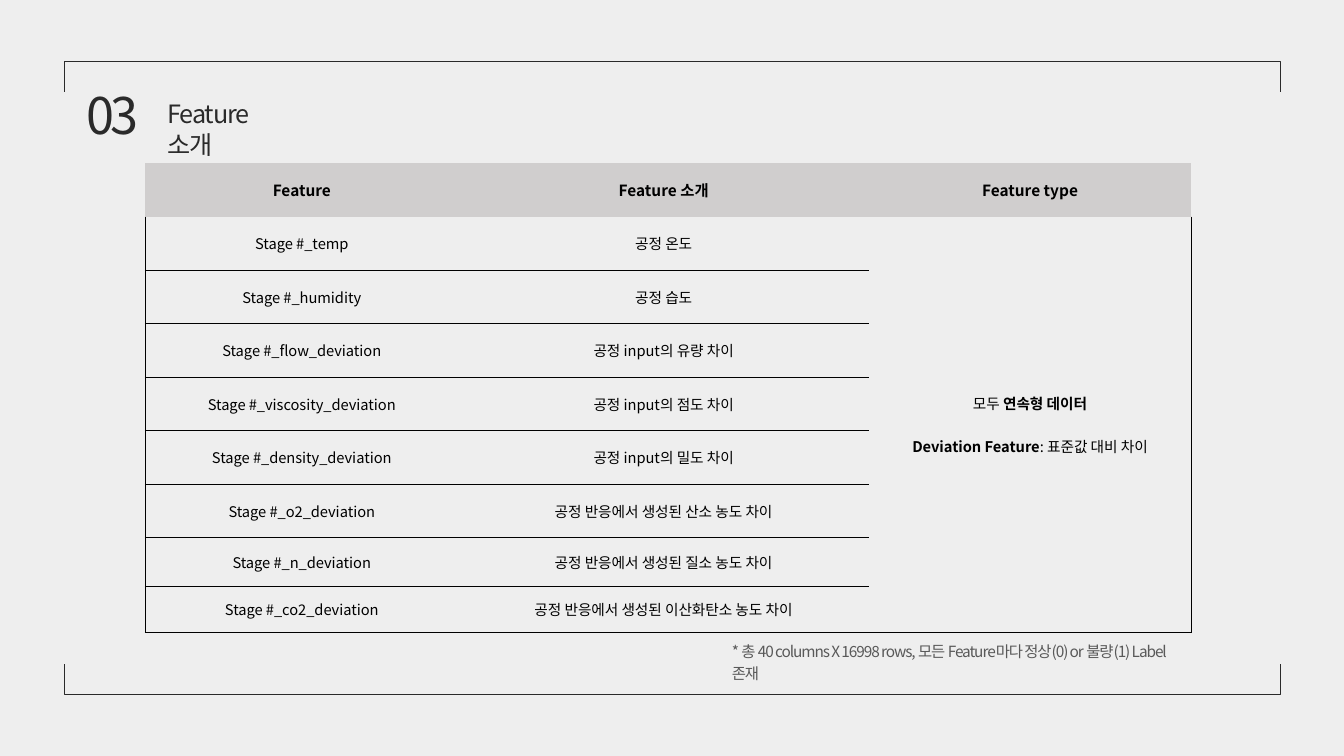
from lxml.etree import SubElement
from pptx import Presentation
from pptx.dml.color import RGBColor
from pptx.enum.shapes import MSO_SHAPE
from pptx.enum.text import MSO_ANCHOR, MSO_AUTO_SIZE, PP_ALIGN
from pptx.oxml.ns import qn
from pptx.util import Pt

FONT = "Noto Sans CJK KR"
INK = "2A2A2A"
BLACK = "000000"
NO_GRID_STYLE = "{2D5ABB26-0587-4C30-8999-92F81FD0307C}"

COLUMN_WIDTHS = [223.9, 293, 230.4]
ROW_HEIGHTS = [38.2] * 7 + [34.6, 33.1]
HEADERS = ["Feature", "Feature 소개", "Feature type"]
FEATURES = [
    ("Stage #_temp", "공정 온도"),
    ("Stage #_humidity", "공정 습도"),
    ("Stage #_flow_deviation", "공정 input의 유량 차이"),
    ("Stage #_viscosity_deviation", "공정 input의 점도 차이"),
    ("Stage #_density_deviation", "공정 input의 밀도 차이"),
    ("Stage #_o2_deviation", "공정 반응에서 생성된 산소 농도 차이"),
    ("Stage #_n_deviation", "공정 반응에서 생성된 질소 농도 차이"),
    ("Stage #_co2_deviation", "공정 반응에서 생성된 이산화탄소 농도 차이"),
]
TYPE_NOTES = [
    [("모두 ", False), ("연속형 데이터", True)],
    [("Deviation Feature", True), (": 표준값 대비 차이", False)],
]


def color(value):
    return RGBColor.from_string(value)


def style_span(span, size, tint, bold=False, spacing=0):
    """Format a run; spacing is the tracking in points."""
    span.font.size = Pt(size)
    span.font.bold = bold
    span.font.color.rgb = color(tint)
    span.font.name = FONT
    properties = span._r.get_or_add_rPr()
    SubElement(properties, qn("a:ea")).set("typeface", FONT)
    if spacing:
        properties.set("spc", str(round(spacing * 100)))


def add_frame_edge(page, left, top, width, height, rotation):
    """Draw a square bracket turned to fill the given wide box."""
    edge = page.shapes.add_shape(
        MSO_SHAPE.RIGHT_BRACKET,
        Pt(left + (width - height) / 2), Pt(top + (height - width) / 2),
        Pt(height), Pt(width))
    edge.adjustments[0] = 0
    edge.rotation = rotation
    edge.shadow.inherit = False
    edge.fill.background()
    edge.line.color.rgb = color(INK)
    edge.line.width = Pt(0.5)


def fill_label(box, left, top, width, height, text, size, tint, spacing):
    box.left, box.top, box.width, box.height = map(Pt, (left, top, width, height))
    frame = box.text_frame
    frame.text = text
    frame.margin_left = frame.margin_right = Pt(4.3)
    frame.margin_top = frame.margin_bottom = Pt(1.4)
    frame.vertical_anchor = MSO_ANCHOR.TOP
    frame.word_wrap = False
    frame.auto_size = MSO_AUTO_SIZE.SHAPE_TO_FIT_TEXT
    para = frame.paragraphs[0]
    para.alignment = PP_ALIGN.LEFT
    style_span(para.runs[0], size, tint, spacing=spacing)
    return para


def add_label(page, *details):
    return fill_label(page.shapes.add_textbox(0, 0, 0, 0), *details)


def set_borders(cell, sides):
    """Draw thin black borders on the sides, given in the order L, R, T, B."""
    properties = cell._tc.get_or_add_tcPr()
    for position, side in enumerate(sides):
        border = properties.makeelement(qn("a:ln" + side), {"w": str(Pt(0.5))})
        fill = SubElement(border, qn("a:solidFill"))
        SubElement(fill, qn("a:srgbClr")).set("val", BLACK)
        properties.insert(position, border)


def fill_cell(cell, paragraphs, size, gap=0):
    """Write paragraphs, each a list of (text, bold) pairs, gap points apart."""
    cell.vertical_anchor = MSO_ANCHOR.MIDDLE
    frame = cell.text_frame
    for number, pieces in enumerate(paragraphs):
        para = frame.add_paragraph() if number else frame.paragraphs[0]
        para.alignment = PP_ALIGN.CENTER
        if number:
            para.space_before = Pt(gap)
        for text, bold in pieces:
            span = para.add_run()
            span.text = text
            style_span(span, size, BLACK, bold)


def add_feature_table(page, left, top):
    holder = page.shapes.add_table(
        len(ROW_HEIGHTS), len(COLUMN_WIDTHS), Pt(left), Pt(top),
        Pt(sum(COLUMN_WIDTHS)), Pt(sum(ROW_HEIGHTS)))
    table = holder.table
    table.first_row = table.horz_banding = False
    table._tbl.tblPr.find(qn("a:tableStyleId")).text = NO_GRID_STYLE
    for column, width in zip(table.columns, COLUMN_WIDTHS):
        column.width = Pt(width)
    for row, height in zip(table.rows, ROW_HEIGHTS):
        row.height = Pt(height)

    for column, header in enumerate(HEADERS):
        cell = table.cell(0, column)
        cell.fill.solid()
        cell.fill.fore_color.rgb = color("D0CECE")
        fill_cell(cell, [[(header, True)]], 11)

    for row, feature in enumerate(FEATURES, start=1):
        for column, text in enumerate(feature):
            cell = table.cell(row, column)
            cell.fill.background()
            fill_cell(cell, [[(text, False)]], 10.5)
            set_borders(cell, "B" if column else "LB")

    last = len(FEATURES)
    type_cell = table.cell(1, 2)
    type_cell.merge(table.cell(last, 2))
    type_cell.fill.background()
    fill_cell(type_cell, TYPE_NOTES, 10.5, gap=15.3)
    set_borders(type_cell, "RB")


def build_feature_page(deck):
    page = deck.slides.add_slide(deck.slide_layouts[5])
    page.background.fill.solid()
    page.background.fill.fore_color.rgb = color("EEEEEE")
    for top, rotation in [(43.9, 270), (474.5, 90)]:
        add_frame_edge(page, 46.1, top, 868.3, 21.6, rotation)
    add_label(page, 57.6, 59, 46.8, 46.8, "03", 36, INK, -3)
    fill_label(page.shapes.title, 115.2, 69.1, 102.2, 24.5,
               "Feature 소개", 18, INK, -0.8)
    add_feature_table(page, 103.7, 116.6)
    footnote = add_label(
        page, 518.4, 454.3, 339.1, 18,
        "* 총 40 columns X 16998 rows, 모든 Feature마다 정상(0) or 불량(1) Label 존재",
        11, "595959", -0.8)
    footnote.line_spacing = 1.2


def main():
    deck = Presentation()
    deck.slide_width, deck.slide_height = Pt(960), Pt(540)
    build_feature_page(deck)
    deck.save("out.pptx")


if __name__ == "__main__":
    main()
